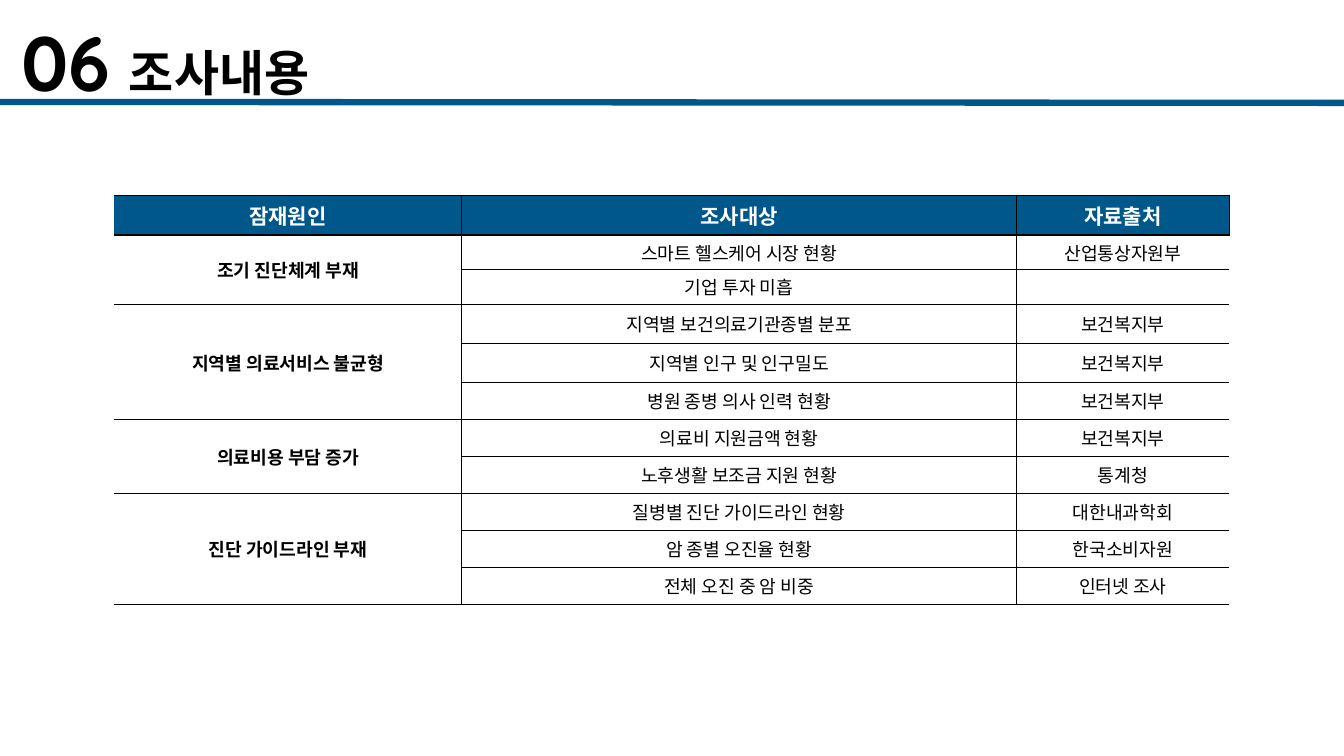
from dataclasses import dataclass

from lxml.etree import SubElement
from pptx import Presentation
from pptx.dml.color import RGBColor
from pptx.enum.shapes import MSO_CONNECTOR
from pptx.enum.text import MSO_ANCHOR, PP_ALIGN
from pptx.oxml.ns import qn
from pptx.util import Pt


@dataclass(frozen=True)
class Theme:
    blue: RGBColor = RGBColor(0x00, 0x58, 0x8A)
    white: RGBColor = RGBColor(0xFF, 0xFF, 0xFF)
    black: RGBColor = RGBColor(0, 0, 0)
    latin: str = "Quicksand"
    korean: str = "Noto Sans CJK KR"
    number: float = 55
    gap: float = 46.7
    title: float = 35
    head: float = 15
    body: float = 13


THEME = Theme()
WIDTH, HEIGHT = 960, 540
COLS = [248.4, 396, 152.2]
ROWS = [28, 24.7, 24.7, 28, 28] + [26.4] * 6
HEADS = ["잠재원인", "조사대상", "자료출처"]
GROUPS = [
    ("조기 진단체계 부재", [
        ("스마트 헬스케어 시장 현황", "산업통상자원부"),
        ("기업 투자 미흡", ""),
    ]),
    ("지역별 의료서비스 불균형", [
        ("지역별 보건의료기관종별 분포", "보건복지부"),
        ("지역별 인구 및 인구밀도", "보건복지부"),
        ("병원 종병 의사 인력 현황", "보건복지부"),
    ]),
    ("의료비용 부담 증가", [
        ("의료비 지원금액 현황", "보건복지부"),
        ("노후생활 보조금 지원 현황", "통계청"),
    ]),
    ("진단 가이드라인 부재", [
        ("질병별 진단 가이드라인 현황", "대한내과학회"),
        ("암 종별 오진율 현황", "한국소비자원"),
        ("전체 오진 중 암 비중", "인터넷 조사"),
    ]),
]


def edge(cell, sides):
    """Draw the named sides (of L, R, T, B) in black and clear the others."""
    props = cell._tc.get_or_add_tcPr()
    for spot, side in enumerate("LRTB"):
        line = SubElement(props, qn(f"a:ln{side}"), w=str(Pt(1)))
        props.insert(spot, line)
        if side in sides:
            fill = SubElement(line, qn("a:solidFill"))
            SubElement(fill, qn("a:srgbClr"), val=str(THEME.black))
        else:
            SubElement(line, qn("a:noFill"))


def fill_cell(cell, text, sides, size=THEME.body, bold=False,
              ink=THEME.black, back=THEME.white):
    cell.fill.solid()
    cell.fill.fore_color.rgb = back
    cell.vertical_anchor = MSO_ANCHOR.MIDDLE
    cell.margin_left = cell.margin_right = Pt(6.5)
    cell.margin_top = cell.margin_bottom = Pt(2.9)
    edge(cell, sides)
    para = cell.text_frame.paragraphs[0]
    para.alignment = PP_ALIGN.CENTER
    if text:
        para.text = text
    else:
        SubElement(para._p, qn("a:endParaRPr"), sz=str(int(size * 100)))
    font = para.font
    font.size, font.bold, font.name = Pt(size), bold, THEME.korean
    font.color.rgb = ink
    SubElement(para._p.pPr.find(qn("a:defRPr")), qn("a:ea"),
               typeface=THEME.korean)


def add_group(table, top, label, items):
    """Fill one cause: a pair shares a merged label, a trio centres it."""
    count = len(items)
    for i, (topic, source) in enumerate(items):
        sides = "R" + "T" * (i == 0) + "B" * (i == count - 1)
        name = label if i == (count - 1) // 2 else ""
        fill_cell(table.cell(top + i, 0), name, sides, bold=True)
        fill_cell(table.cell(top + i, 1), topic, "LRTB")
        fill_cell(table.cell(top + i, 2), source, "LTB")
    if count == 2:
        edge_cell = table.cell(top + 1, 0)
        table.cell(top, 0).merge(edge_cell)


def add_grid(slide, left, top):
    frame = slide.shapes.add_table(len(ROWS), len(COLS), Pt(left), Pt(top),
                                   Pt(sum(COLS)), Pt(sum(ROWS)))
    table = frame.table
    table.horz_banding = False
    for col, width in zip(table.columns, COLS):
        col.width = Pt(width)
    for row, height in zip(table.rows, ROWS):
        row.height = Pt(height)
    for i, (text, sides) in enumerate(zip(HEADS, ["RTB", "LRTB", "LRTB"])):
        fill_cell(table.cell(0, i), text, sides, THEME.head, True,
                  THEME.white, THEME.blue)
    row = 1
    for label, items in GROUPS:
        add_group(table, row, label, items)
        row += len(items)


def add_title(slide, left, top, width, height):
    box = slide.shapes.add_textbox(Pt(left), Pt(top), Pt(width), Pt(height))
    frame = box.text_frame
    frame.word_wrap = True
    frame.vertical_anchor = MSO_ANCHOR.MIDDLE
    frame.margin_left = frame.margin_right = Pt(9.4)
    frame.margin_top = frame.margin_bottom = Pt(5)
    para = frame.paragraphs[0]
    for text, size in [("06", THEME.number), (" ", THEME.gap),
                       ("조사내용", THEME.title)]:
        run = para.add_run()
        run.text = text
        run.font.size = Pt(size)
    para.font.name, para.font.bold = THEME.latin, True
    para.font.color.rgb = THEME.black
    SubElement(para._p.pPr.find(qn("a:defRPr")), qn("a:ea"),
               typeface=THEME.latin)

    base = top + height
    rule = slide.shapes.add_connector(MSO_CONNECTOR.STRAIGHT, 0, Pt(base),
                                      Pt(WIDTH), Pt(base + 0.7))
    rule.line.color.rgb = THEME.blue
    rule.line.width = Pt(4.5)
    SubElement(rule._element.spPr, qn("a:effectLst"))


def main():
    deck = Presentation()
    deck.slide_width, deck.slide_height = Pt(WIDTH), Pt(HEIGHT)
    slide = deck.slides.add_slide(deck.slide_layouts[6])
    add_title(slide, 5.8, 14.4, 702.7, 58.4)
    add_grid(slide, 81.5, 139.9)
    deck.save("out.pptx")


if __name__ == "__main__":
    main()
